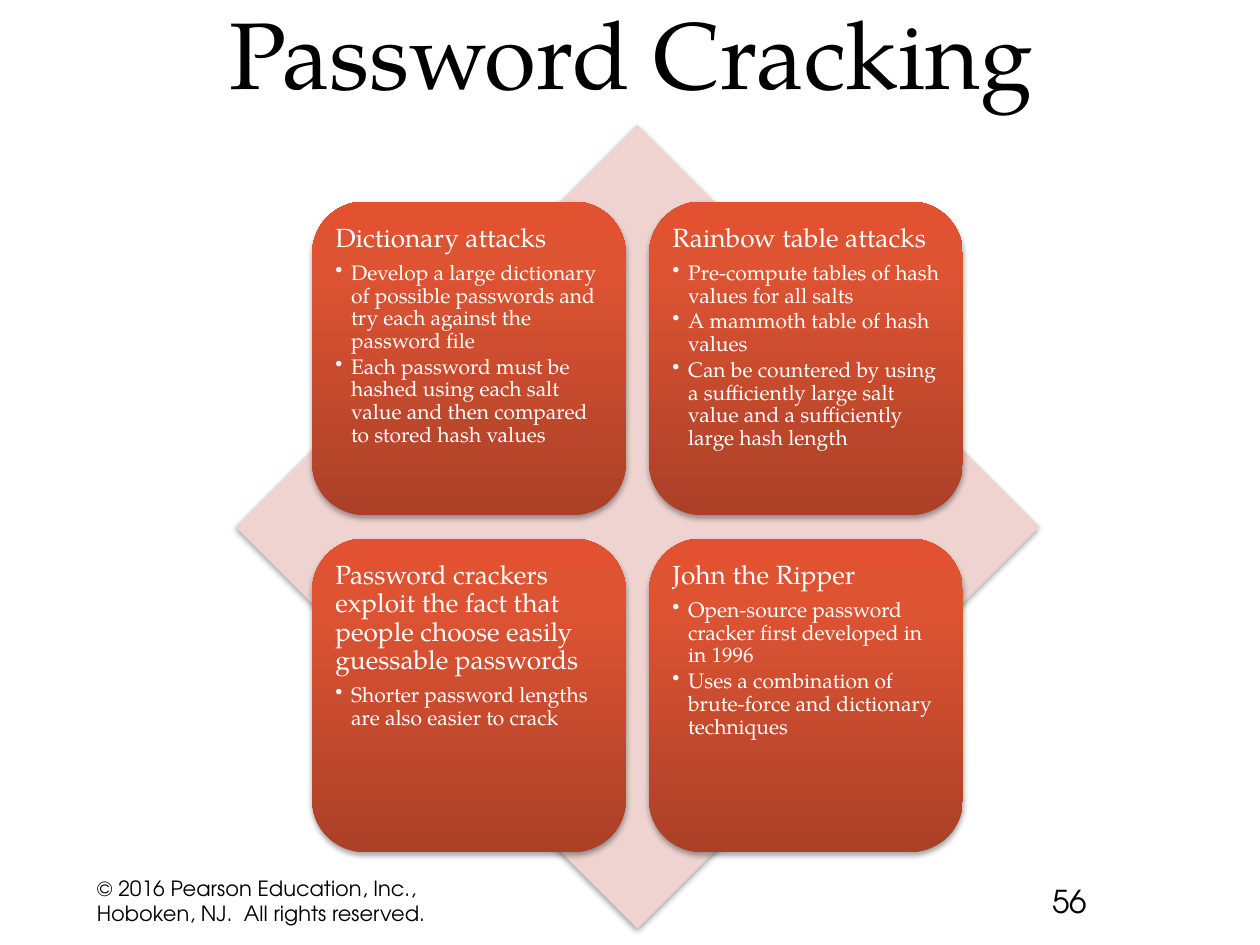
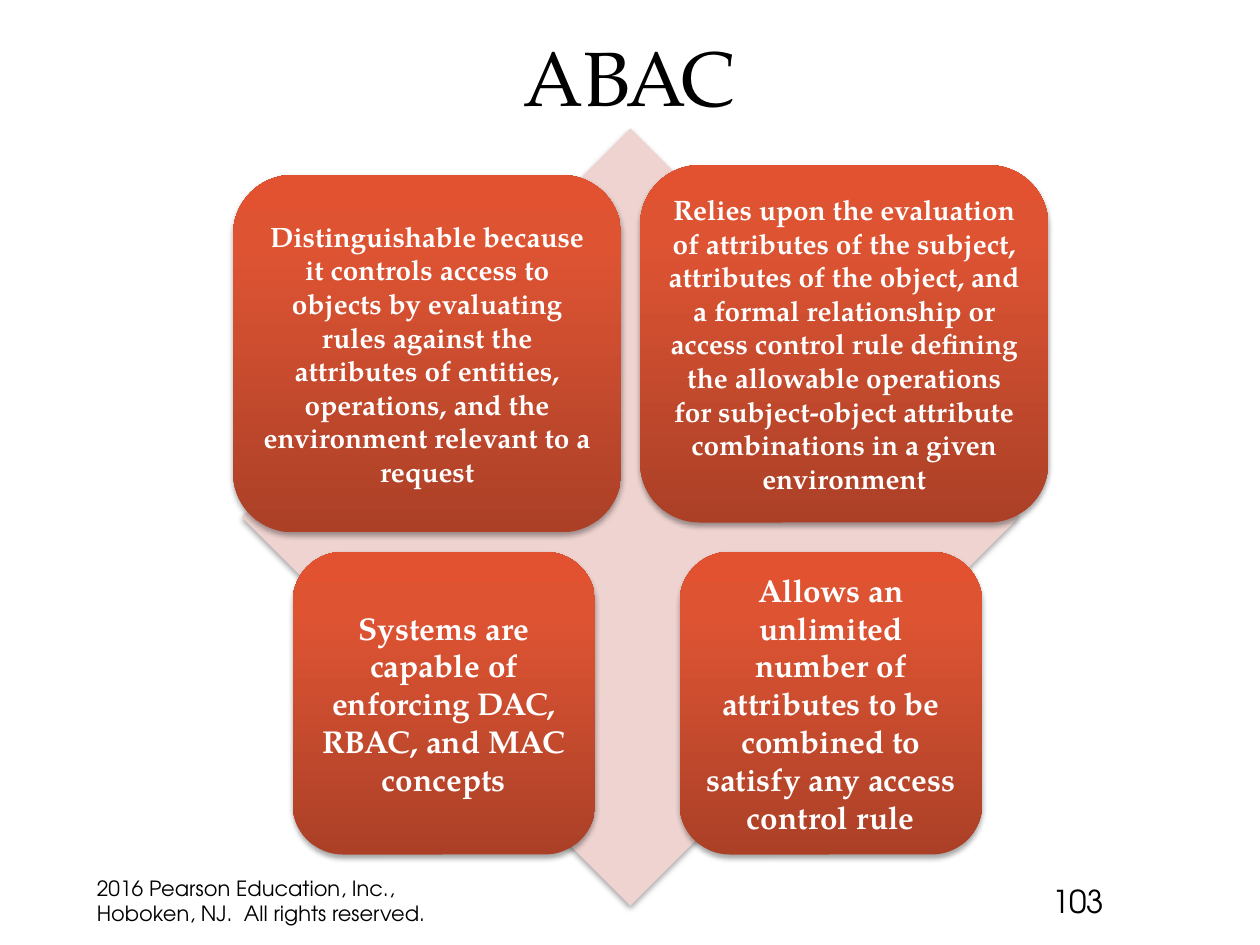
from copy import deepcopy

from lxml import etree
from pptx import Presentation
from pptx import util as u
from pptx.dml.color import RGBColor
from pptx.enum import shapes, text
from pptx.oxml.ns import qn

SERIF = "TeX Gyre Pagella"
SANS = "TeX Gyre Adventor"
BLACK = "000000"
WHITE = "FFFFFF"
DIAMOND = "EED3D0"
CARD_STOPS = [(0, "AB4027"), (0.8, "DE5433"), (1, "E35230")]


def colour(code):
    return RGBColor.from_string(code)


def write(para, words, size, face, code, bold=False):
    span = para.add_run()
    span.text = words
    span.font.size = u.Pt(size)
    span.font.name = face
    span.font.color.rgb = colour(code)
    span.font.bold = bold


cracking_cards = [
    ["Dictionary attacks",
     "Develop a large dictionary of possible passwords and try each against the password file",
     "Each password must be hashed using each salt value and then compared to stored hash values"],
    ["Rainbow table attacks",
     "Pre-compute tables of hash values for all salts",
     "A mammoth table of hash values",
     "Can be countered by using a sufficiently large salt value and a sufficiently large hash length"],
    ["Password crackers exploit the fact that people choose easily guessable passwords",
     "Shorter password lengths are also easier to crack"],
    ["John the Ripper",
     "Open-source password cracker first developed in in 1996",
     "Uses a combination of brute-force and dictionary techniques"],
]
cracking_grid = [
    (178.4 + 192.6 * (index % 2), 115.2 + 192.6 * (index // 2), 179.2, 179.2, 15, words)
    for index, words in enumerate(cracking_cards)
]
abac_grid = [
    (133.2, 100, 221.8, 204.2, 16,
     ["Distinguishable because it controls access to objects by evaluating rules against the "
      "attributes of entities, operations, and the environment relevant to a request"]),
    (365.8, 94.4, 233.2, 204.2, 16,
     ["Relies upon the evaluation of attributes of the subject, attributes of the object, and a "
      "formal relationship or access control rule defining the allowable operations for "
      "subject-object attribute combinations in a given environment"]),
    (167.2, 315.3, 173, 173, 18,
     ["Systems are capable of enforcing DAC, RBAC, and MAC concepts"]),
    (388.3, 315.3, 173, 173, 18,
     ["Allows an unlimited number of attributes to be combined to satisfy any access control rule"]),
]
RIGHTS = "2016 Pearson Education, Inc., Hoboken, NJ.  All rights reserved."
pages = [
    {"title": "Password Cracking", "title_size": 54, "title_box": (36.7, -19.4, 648, 85),
     "diamond": (134.6, 71.3, 459.4), "cards": cracking_grid, "bulleted": True,
     "inset": 4.5, "rights": "© " + RIGHTS, "number": "56"},
    {"title": "ABAC", "title_size": 44, "title_box": (36, 9.4, 648, 64),
     "diamond": (138.2, 73.4, 444.2), "cards": abac_grid, "bulleted": False,
     "inset": 4.8, "rights": RIGHTS, "number": "103"},
]

deck = Presentation()
deck.slide_width = u.Pt(720)
deck.slide_height = u.Pt(540)

for page in pages:
    slide = deck.slides.add_slide(deck.slide_layouts[5])

    title = slide.shapes.title
    title.left, title.top, title.width, title.height = map(u.Pt, page["title_box"])
    title.text_frame.auto_size = text.MSO_AUTO_SIZE.NONE
    title.text_frame.vertical_anchor = text.MSO_ANCHOR.BOTTOM
    para = title.text_frame.paragraphs[0]
    para.alignment = text.PP_ALIGN.CENTER
    para.line_spacing = u.Pt(58)
    write(para, page["title"], page["title_size"], SERIF, BLACK)

    left, top, side = map(u.Pt, page["diamond"])
    diamond = slide.shapes.add_shape(shapes.MSO_SHAPE.DIAMOND, left, top, side, side)
    diamond.fill.solid()
    diamond.fill.fore_color.rgb = colour(DIAMOND)
    solids = [diamond]

    for left, top, width, height, size, words in page["cards"]:
        card = slide.shapes.add_shape(
            shapes.MSO_SHAPE.ROUNDED_RECTANGLE, *map(u.Pt, (left, top, width, height)))
        solids.append(card)
        card.fill.gradient()
        card.fill.gradient_angle = 90
        stop_list = card._element.spPr.find(".//" + qn("a:gsLst"))
        stop_list.append(deepcopy(stop_list[0]))
        for stop, (position, code) in zip(card.fill.gradient_stops, CARD_STOPS):
            stop.position = position
            stop.color.rgb = colour(code)

        frame = card.text_frame
        frame.word_wrap = True
        frame.margin_left = frame.margin_right = u.Pt(page["inset"])
        frame.margin_top = frame.margin_bottom = u.Pt(page["inset"])
        frame.vertical_anchor = text.MSO_ANCHOR.TOP if page["bulleted"] else text.MSO_ANCHOR.MIDDLE
        for index, line in enumerate(words):
            para = frame.add_paragraph() if index else frame.paragraphs[0]
            para.alignment = text.PP_ALIGN.LEFT if page["bulleted"] else text.PP_ALIGN.CENTER
            if page["bulleted"]:
                para.line_spacing = 0.9
                para.space_after = u.Pt(1.8 if index else 5.25)
            if index:
                para.level = 1
                props = para._p.get_or_add_pPr()
                props.set("marL", str(u.Pt(9)))
                props.set("indent", str(u.Pt(-9)))
                etree.SubElement(props, qn("a:buChar")).set("char", "•")
            write(para, line, 12 if index else size, SERIF, WHITE, not page["bulleted"])

    for solid in solids:
        solid.line.fill.background()
        solid.shadow.inherit = False
        effects = solid._element.spPr.find(qn("a:effectLst"))
        shadow = etree.SubElement(
            effects, qn("a:outerShdw"), blurRad=str(u.Pt(3.1)), dist=str(u.Pt(1.8)),
            dir="5400000", rotWithShape="0")
        shade = etree.SubElement(shadow, qn("a:srgbClr"), val=BLACK)
        etree.SubElement(shade, qn("a:alpha"), val="35000")

    for left, width, inset, size, words in [
        (51.8, 224, 3.6, 12, page["rights"]),
        (599, 85, 2.2, 18, page["number"]),
    ]:
        box = slide.shapes.add_textbox(*map(u.Pt, (left, 500.4, width, 28.8)))
        frame = box.text_frame
        frame.word_wrap = True
        frame.vertical_anchor = text.MSO_ANCHOR.MIDDLE
        frame.margin_left = u.Pt(inset)
        write(frame.paragraphs[0], words, size, SANS, BLACK)

deck.save("out.pptx")
